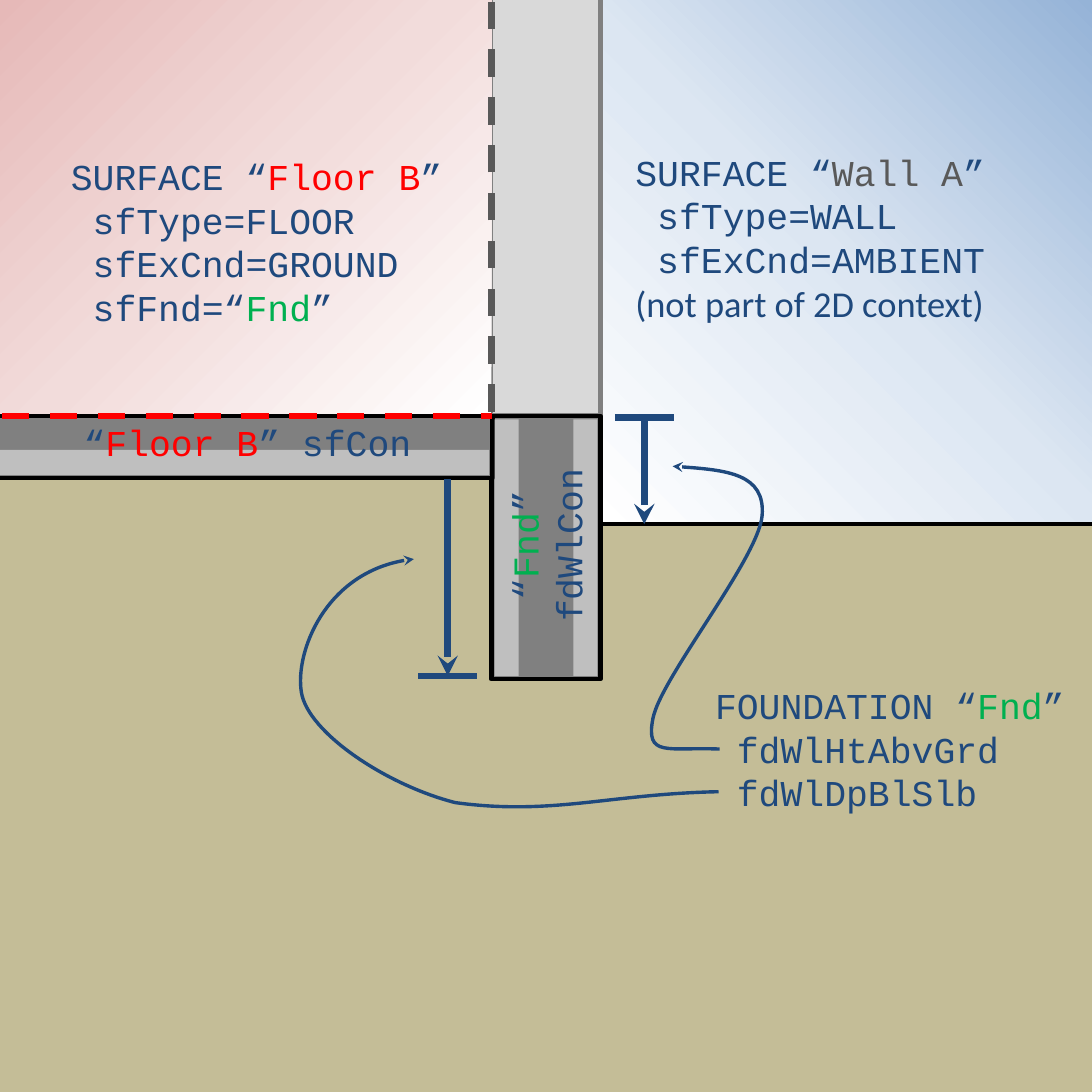
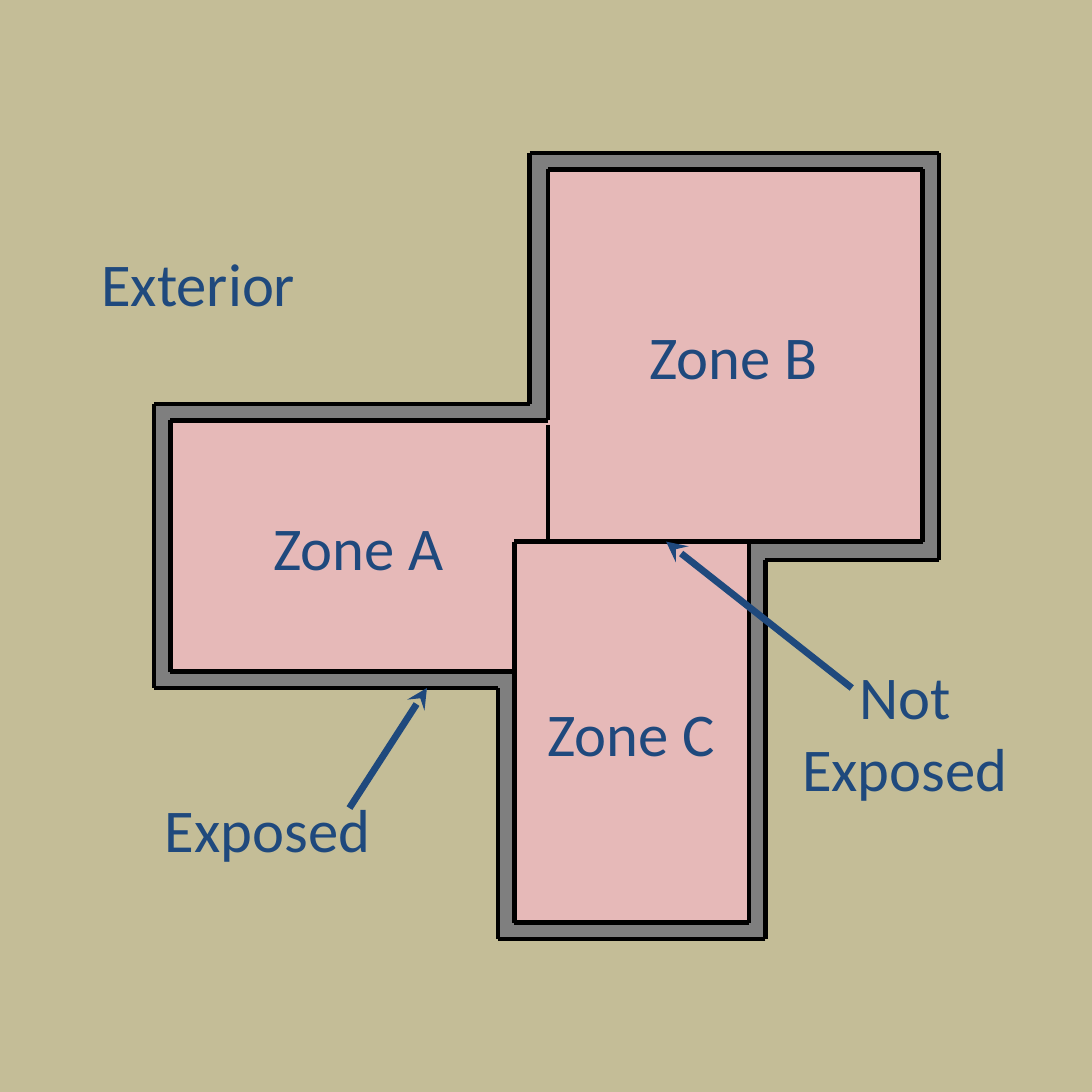
from itertools import pairwise

from lxml.etree import SubElement
from pptx import Presentation
from pptx.dml.color import RGBColor
from pptx.enum.dml import MSO_LINE
from pptx.enum.shapes import MSO_CONNECTOR, MSO_SHAPE
from pptx.enum.text import MSO_ANCHOR, MSO_AUTO_SIZE, PP_ALIGN
from pptx.oxml.ns import qn
from pptx.util import Emu, Pt

PX = 9144  # 100 px to the inch

NAVY = RGBColor(0x1F, 0x49, 0x7D)
RED = RGBColor(0xFF, 0x00, 0x00)
GREEN = RGBColor(0x00, 0xB0, 0x50)
BLACK = RGBColor(0x00, 0x00, 0x00)
WHITE = RGBColor(0xFF, 0xFF, 0xFF)
EARTH = RGBColor(0xC4, 0xBD, 0x97)
CHARCOAL = RGBColor(0x59, 0x59, 0x59)
CONCRETE = RGBColor(0x80, 0x80, 0x80)
FOUNDATION = RGBColor(0x7F, 0x7F, 0x7F)
INSULATION = RGBColor(0xBF, 0xBF, 0xBF)
WALL = RGBColor(0xD9, 0xD9, 0xD9)
SKY = RGBColor(0x95, 0xB3, 0xD7)
PALE_SKY = RGBColor(0xDC, 0xE6, 0xF2)
ROOM = RGBColor(0xE6, 0xB9, 0xB8)
PALE_ROOM = RGBColor(0xF2, 0xDC, 0xDB)

SANS, MONO = "Calibri", "Courier New"
CODE = {"name": MONO, "size": Pt(24)}
LABEL = {"name": SANS, "size": Pt(40)}


def px(*lengths):
    return [Emu(n * PX) for n in lengths]


class Sketch:
    def __init__(self, prs):
        self.prs = prs
        self.shapes = None

    def new_slide(self):
        self.shapes = self.prs.slides.add_slide(self.prs.slide_layouts[6]).shapes

    def rect(self, box, fill, outline=None):
        sp = self.shapes.add_shape(MSO_SHAPE.RECTANGLE, *px(*box))
        sp.shadow.inherit = False
        if isinstance(fill, RGBColor):
            sp.fill.solid()
            sp.fill.fore_color.rgb = fill
        if outline:
            self.stroke(sp, outline, 3)
        else:
            sp.line.fill.background()
        return sp

    def gradient(self, box, colors, angle):
        """Rectangle with three even stops; angle is counter-clockwise."""
        sp = self.rect(box, None)
        sp.fill.gradient()
        sp.fill.gradient_angle = angle
        stops = sp._element.spPr.find(qn("a:gradFill")).find(qn("a:gsLst"))
        middle = SubElement(stops, qn("a:gs"), pos="0")
        SubElement(middle, qn("a:srgbClr"), val="FFFFFF")
        for i, (stop, color) in enumerate(zip(sp.fill.gradient_stops, colors)):
            stop.position = i / 2
            stop.color.rgb = color

    def stroke(self, sp, color, width, dash=None, end=None):
        """Format a line; end is headEnd or tailEnd for a stealth arrowhead."""
        sp.line.color.rgb = color
        sp.line.width = Pt(width)
        if dash:
            sp.line.dash_style = dash
        if end:
            ln = sp._element.spPr.find(qn("a:ln"))
            SubElement(ln, qn(f"a:{end}"), type="stealth")

    def line(self, start, stop, color=BLACK, width=3, **ends):
        cxn = self.shapes.add_connector(MSO_CONNECTOR.STRAIGHT, *px(*start, *stop))
        self.stroke(cxn, color, width, **ends)
        SubElement(cxn._element.spPr, qn("a:effectLst"))

    def outline(self, corners):
        for start, stop in pairwise(corners):
            self.line(start, stop)

    def curve(self, points):
        """Bezier arrow: a start point, then three points for each segment."""
        builder = self.shapes.build_freeform(*points[0], scale=PX)
        builder.add_line_segments(points[1:], close=False)
        sp = builder.convert_to_shape()
        sp.shadow.inherit = False
        sp.fill.background()
        self.stroke(sp, NAVY, 2.25, end="headEnd")
        segments = list(sp._element.iter(qn("a:lnTo")))
        for i in range(0, len(segments), 3):
            bezier = SubElement(segments[i].getparent(), qn("a:cubicBezTo"))
            for segment in segments[i:i + 3]:
                bezier.append(segment[0])
                segment.getparent().remove(segment)

    def fill_text(self, tf, paragraphs, font, align):
        """Each run is a string, or a tuple of text, colour and font name."""
        for i, runs in enumerate(paragraphs):
            p = tf.paragraphs[0] if i == 0 else tf.add_paragraph()
            p.alignment = align
            for run in runs:
                if run == "\n":
                    p.add_line_break()
                    continue
                content, color, name = run if isinstance(run, tuple) else (run, NAVY, None)
                r = p.add_run()
                r.text = content
                r.font.color.rgb = color
                for key, value in (font | ({"name": name} if name else {})).items():
                    setattr(r.font, key, value)

    def text(self, box, paragraphs, font=CODE, align=PP_ALIGN.LEFT, rotation=0):
        sp = self.shapes.add_textbox(*px(*box))
        sp.rotation = rotation
        tf = sp.text_frame
        frame = {"word_wrap": True, "vertical_anchor": MSO_ANCHOR.MIDDLE,
                 "auto_size": MSO_AUTO_SIZE.SHAPE_TO_FIT_TEXT}
        for key, value in frame.items():
            setattr(tf, key, value)
        self.fill_text(tf, paragraphs, font, align)

    def label(self, box, content):
        self.text(box, [[content]], LABEL, PP_ALIGN.CENTER)

    def zone(self, box, name):
        tf = self.rect(box, ROOM).text_frame
        tf.vertical_anchor = MSO_ANCHOR.MIDDLE
        self.fill_text(tf, [[name]], LABEL, PP_ALIGN.CENTER)


def foundation_section(sk):
    floor_b, wall_a, fnd = ("Floor B", RED, None), ("Wall A", CHARCOAL, None), ("Fnd", GREEN, None)
    dash = MSO_LINE.DASH
    sk.new_slide()
    sk.rect((0, 438, 449, 75), EARTH)
    sk.gradient((550, 0, 450, 480), (SKY, PALE_SKY, WHITE), 225)
    sk.rect((0, 480, 1000, 520), EARTH)
    sk.rect((449, -5, 101, 385), WALL, CONCRETE)
    sk.rect((450, 381, 100, 241), CONCRETE, BLACK)
    sk.line((550, 480), (1000, 480))
    sk.gradient((0, 0, 450, 382), (WHITE, PALE_ROOM, ROOM), 135)
    sk.rect((-10, 381, 461, 57), CONCRETE, BLACK)
    sk.line((2, 381), (451, 381), RED, 4.5, dash=dash)
    sk.text((55, 135, 398, 172), [["SURFACE “", floor_b, "”"], [" sfType=FLOOR"],
                                  [" sfExCnd=GROUND"], [" sfFnd=“", fnd, "”"]])
    for left in (453, 525):
        sk.rect((left, 384, 22, 235), INSULATION)
    sk.text((381, 454, 238, 91), [["“", fnd, "” fdWlCon"]],
            align=PP_ALIGN.CENTER, rotation=270)
    sk.rect((-10, 412, 458, 23), INSULATION)
    sk.text((2, 380, 449, 50), [["“", floor_b, "” sfCon"]], align=PP_ALIGN.CENTER)
    sk.text((572, 131, 368, 172),
            [["SURFACE “", wall_a, "”"], [" sfType=WALL"],
             [" sfExCnd=AMBIENT", "\n", ("(not part of 2D context)", NAVY, SANS)]])
    sk.line((450, 377), (450, 0), CHARCOAL, 4.5, dash=dash)
    sk.text((645, 620, 390, 131),
            [["FOUNDATION “", fnd, "”"], [" fdWlHtAbvGrd"], [" fdWlDpBlSlb"]])
    for x, tip, base, bar in ((590, 480, 381, 382), (410, 619, 439, 619)):
        sk.line((x, tip), (x, base), NAVY, 4.5, end="headEnd")
        sk.line((x - 27, bar), (x + 27, bar), NAVY, 4.5)
    sk.curve([(616, 427), (661, 430), (701, 434), (698, 472), (695, 511), (605, 621),
              (598, 658), (591, 694), (611, 684), (659, 686)])
    sk.curve([(379, 512), (300, 520), (270, 597), (276, 634), (282, 671), (354, 719),
              (417, 735), (506, 747), (558, 727), (658, 725)])


def exposed_perimeter(sk):
    outer = [(485, 140), (860, 140), (860, 513), (701, 513), (701, 860), (456, 860),
             (456, 630), (141, 630), (141, 370), (485, 370), (485, 140)]
    inner = [(502, 155), (845, 155), (845, 496), (686, 496), (686, 845), (471, 845),
             (471, 615), (156, 615), (156, 385), (502, 385), (502, 155)]
    sk.new_slide()
    sk.rect((0, 0, 1000, 1000), EARTH)
    sk.zone((499, 155, 345, 341), "Zone B")
    sk.zone((470, 496, 216, 349), "Zone C")
    sk.zone((155, 385, 346, 230), "Zone A")
    # Each wall fills the box around an outer edge and its inner twin.
    for outer_edge, inner_edge in zip(pairwise(outer), pairwise(inner)):
        xs, ys = zip(*outer_edge, *inner_edge)
        sk.rect((min(xs), min(ys), max(xs) - min(xs), max(ys) - min(ys)), FOUNDATION)
    sk.outline(inner)
    sk.outline(outer)
    sk.label((43, 220, 277, 77), "Exterior")
    sk.line((502, 389), (502, 496))
    sk.outline([(686, 496), (471, 496), (471, 615)])
    sk.label((80, 720, 330, 77), "Exposed")
    sk.line((320, 740), (391, 630), NAVY, 4.5, end="tailEnd")
    sk.line((780, 630), (610, 496), NAVY, 4.5, end="tailEnd")
    sk.label((687, 597, 283, 145), "Not Exposed")


def main():
    prs = Presentation()
    prs.slide_width, prs.slide_height = px(1000, 1000)
    sk = Sketch(prs)
    foundation_section(sk)
    exposed_perimeter(sk)
    prs.save("out.pptx")


if __name__ == "__main__":
    main()
